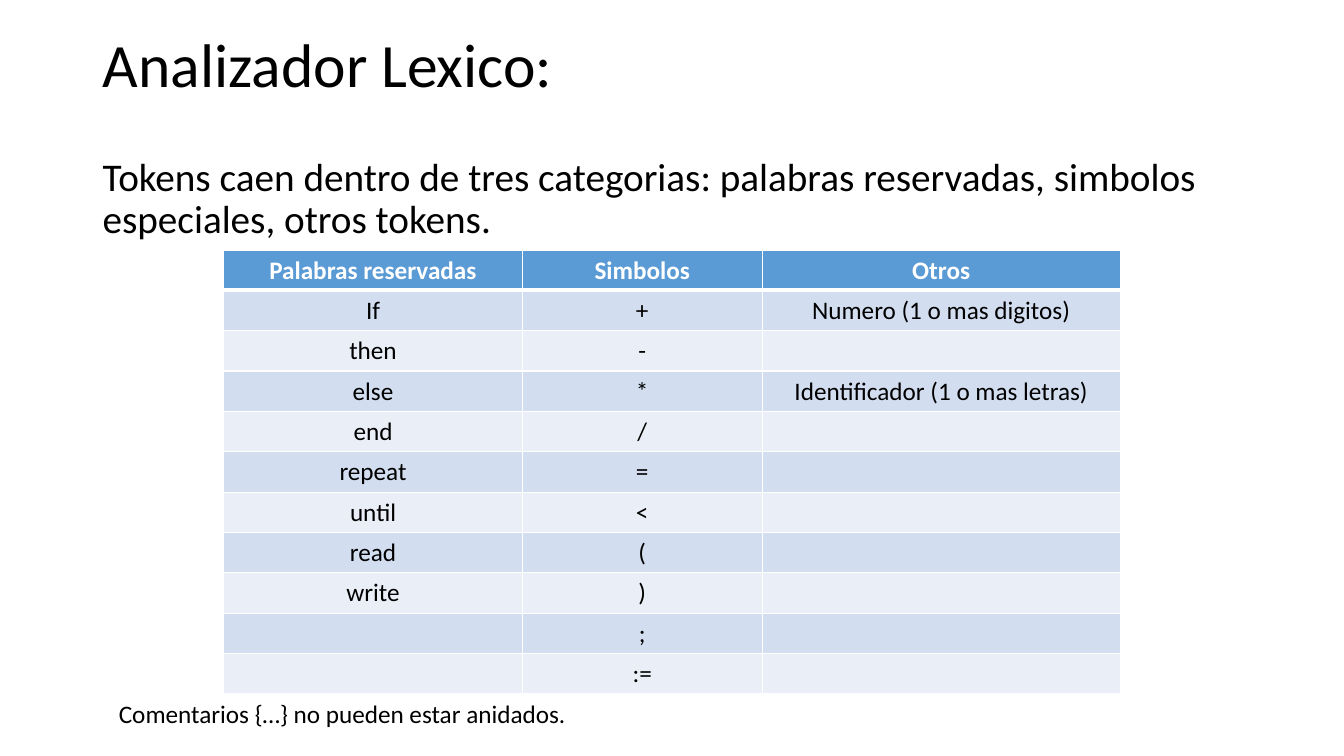
from itertools import zip_longest

from lxml import etree
from pptx import Presentation
from pptx import util as u
from pptx.dml.color import RGBColor
from pptx.enum import text
from pptx.oxml.ns import qn

FONT = "Calibri"
BLACK, WHITE = "000000", "FFFFFF"
HEADER_FILL = "5B9BD5"
BAND_FILLS = ("D2DEEF", "EAEFF7")

HEADERS = ("Palabras reservadas", "Simbolos", "Otros")
RESERVED = ("If", "then", "else", "end", "repeat", "until", "read", "write")
SYMBOLS = ("+", "-", "*", "/", "=", "<", "(", ")", ";", ":=")
OTHERS = ("Numero (1 o mas digitos)", "", "Identificador (1 o mas letras)")
COLUMN_WIDTHS = (2.96, 2.38, 3.55)
ROW_HEIGHT = 0.4


def rgb(value):
    """Turn a hex string into a colour."""
    return RGBColor.from_string(value)


def style_font(font, size, color=BLACK, bold=False):
    """Set the typeface, size, colour and weight of a font."""
    font.name = FONT
    font.size = u.Pt(size)
    font.color.rgb = rgb(color)
    font.bold = bold


def add_text(slide, box, content, size, wrap=True):
    """Add a one-paragraph text box and return its text frame."""
    tf = slide.shapes.add_textbox(*map(u.Inches, box)).text_frame
    tf.word_wrap = wrap
    tf.text = content
    style_font(tf.paragraphs[0].runs[0].font, size)
    return tf


def set_borders(cell, bottom_width):
    """Draw white borders around a cell, 1 pt except at the bottom."""
    tc_pr = cell._tc.get_or_add_tcPr()
    widths = {"a:lnL": 1, "a:lnR": 1, "a:lnT": 1, "a:lnB": bottom_width}
    for i, (tag, width) in enumerate(widths.items()):
        ln = etree.Element(qn(tag), w=str(u.Pt(width)))
        fill = etree.SubElement(ln, qn("a:solidFill"))
        etree.SubElement(fill, qn("a:srgbClr"), val=WHITE)
        tc_pr.insert(i, ln)


def fill_cell(cell, content, is_header, fill):
    """Write and style one table cell."""
    cell.fill.solid()
    cell.fill.fore_color.rgb = rgb(fill)
    set_borders(cell, 3 if is_header else 1)
    p = cell.text_frame.paragraphs[0]
    p.text = content
    p.alignment = text.PP_ALIGN.CENTER
    p.font.size = u.Pt(18)
    for r in p.runs:
        style_font(r.font, 18, WHITE if is_header else BLACK, is_header)


def add_token_table(slide, left, top):
    """Add the table of tokens, one column per category."""
    rows = [HEADERS, *zip_longest(RESERVED, SYMBOLS, OTHERS, fillvalue="")]
    size = (sum(COLUMN_WIDTHS), ROW_HEIGHT * len(rows))
    table = slide.shapes.add_table(
        len(rows), len(HEADERS), *map(u.Inches, (left, top, *size))).table
    for column, width in zip(table.columns, COLUMN_WIDTHS):
        column.width = u.Inches(width)
    for i, row in enumerate(rows):
        table.rows[i].height = u.Inches(ROW_HEIGHT)
        fill = BAND_FILLS[(i - 1) % 2] if i else HEADER_FILL
        for j, content in enumerate(row):
            fill_cell(table.cell(i, j), content, i == 0, fill)


def main():
    """Build the slide and save it."""
    prs = Presentation()
    prs.slide_width, prs.slide_height = u.Inches(13.33), u.Inches(7.5)
    s = prs.slides.add_slide(prs.slide_layouts[6])

    title = add_text(s, (0.92, 0.19, 11.5, 0.95), "Analizador Lexico:", 44)
    title.vertical_anchor = text.MSO_ANCHOR.MIDDLE
    title.paragraphs[0].line_spacing = 0.9

    body = add_text(
        s, (0.92, 1.51, 11.5, 0.97),
        "Tokens caen dentro de tres categorias: palabras reservadas, "
        "simbolos especiales, otros tokens.", 28)
    body.paragraphs[0].line_spacing = 0.9
    body.paragraphs[0].space_before = u.Pt(10)

    add_token_table(s, 2.22, 2.48)

    note = add_text(s, (1.08, 6.88, 4.69, 0.4),
                    "Comentarios {…} no pueden estar anidados.", 18, wrap=False)
    note.auto_size = text.MSO_AUTO_SIZE.SHAPE_TO_FIT_TEXT

    prs.save("out.pptx")


main()
